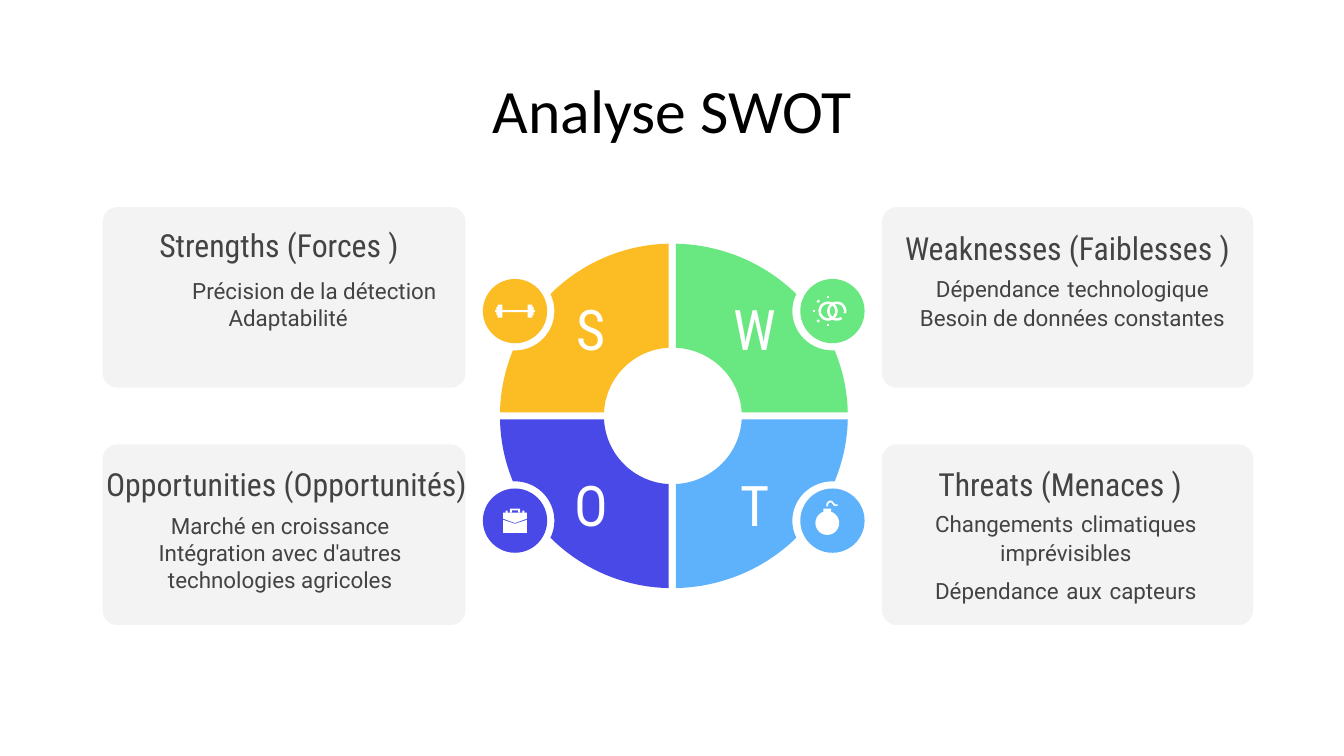
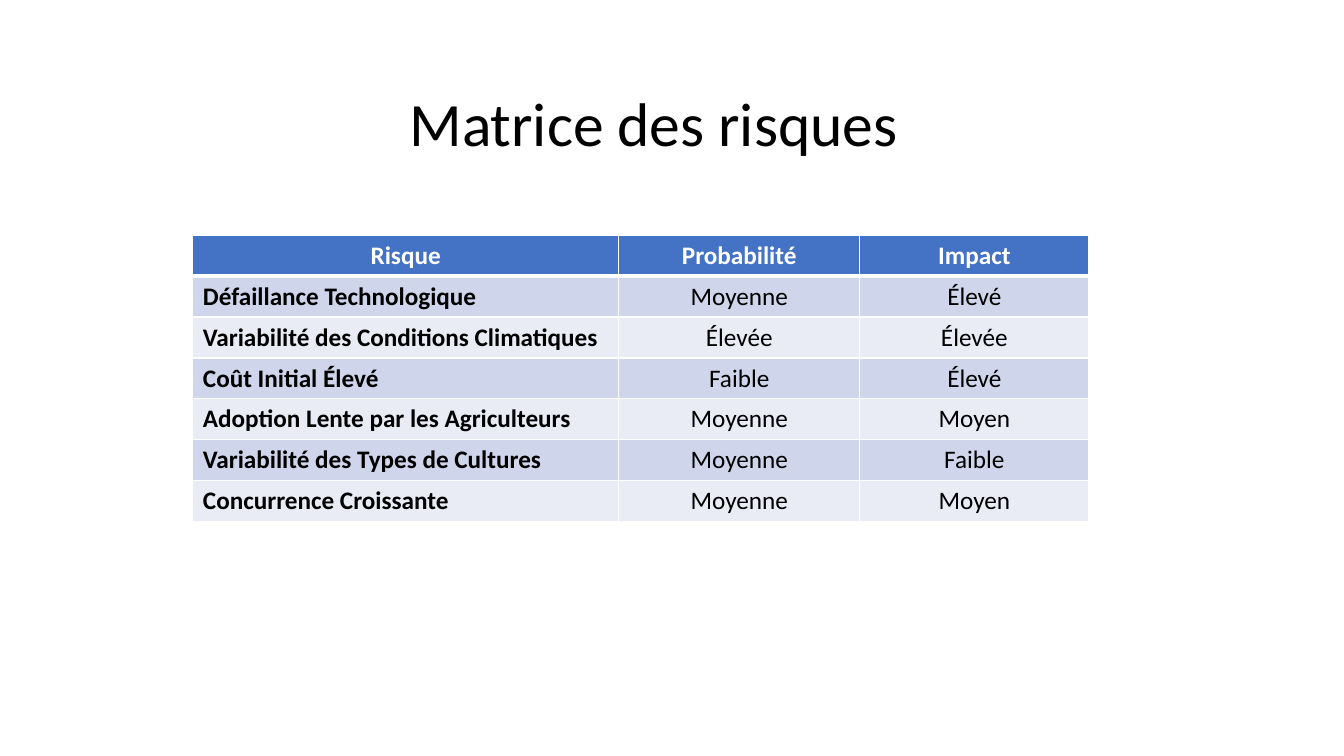
from math import acos, asin, atan2, cos, hypot, pi, radians, sin

from lxml import etree
from pptx import Presentation
from pptx import util as u
from pptx.dml.color import RGBColor
from pptx.enum import shapes, text
from pptx.oxml.ns import qn

WHITE, BLACK, GREY, CARD = "FFFFFF", "000000", "434343", "F3F3F3"
BLUE, BANDS = "4472C4", ("CFD5EA", "E9EBF5")
HEAD, BODY, BASE = "Roboto Condensed", "Roboto", "Calibri"
LEFT, MID, RIGHT = text.PP_ALIGN.LEFT, text.PP_ALIGN.CENTER, text.PP_ALIGN.RIGHT
KIND = shapes.MSO_SHAPE


def tint(code):
    return RGBColor.from_string(code)


def arc(x, y, rad, start, end, steps=40):
    """Points on a circle, angles in radians."""
    turns = [start + (end - start) * i / steps for i in range(steps + 1)]
    return [(x + rad * cos(t), y + rad * sin(t)) for t in turns]


class Deck:
    """House style and the slide being filled; lengths are in cm."""

    def __init__(self):
        self.prs = Presentation()
        self.prs.slide_width, self.prs.slide_height = u.Cm(33.87), u.Cm(19.05)
        self.page = None

    def open(self, name, left, top):
        self.page = self.prs.slides.add_slide(self.prs.slide_layouts[5])
        box = self.page.shapes.title
        box.left, box.top, box.width, box.height = map(u.Cm, (left, top, 28.6, 1.78))
        para = self.frame(box).paragraphs[0]
        para.alignment, para.line_spacing = MID, 0.9
        self.run(para, name, 44)

    def frame(self, box, left=0.33, right=0.33):
        frame = box.text_frame
        frame.word_wrap, frame.auto_size = True, text.MSO_AUTO_SIZE.NONE
        frame.vertical_anchor = text.MSO_ANCHOR.MIDDLE
        frame.margin_left, frame.margin_right = u.Cm(left), u.Cm(right)
        frame.margin_top = frame.margin_bottom = u.Cm(0.33)
        return frame

    def run(self, para, words, size, font=BASE, color=BLACK, bold=False):
        run = para.add_run()
        run.text = words
        run.font.size, run.font.name, run.font.bold = u.Pt(size), font, bold
        run.font.color.rgb = tint(color)

    def dress(self, item, fill):
        item.shadow.inherit = False
        item.fill.solid()
        item.fill.fore_color.rgb = tint(fill)
        item.line.fill.background()
        return item

    def shape(self, kind, left, top, wide, high, fill):
        item = self.page.shapes.add_shape(kind, *map(u.Cm, (left, top, wide, high)))
        return self.dress(item, fill)

    def disc(self, x, y, rad, fill):
        return self.shape(KIND.OVAL, x - rad, y - rad, 2 * rad, 2 * rad, fill)

    def bar(self, x, y, wide, high):
        """White block centred on a point."""
        self.shape(KIND.RECTANGLE, x - wide / 2, y - high / 2, wide, high, WHITE)

    def free(self, points, fill=WHITE, stroke=None):
        """Filled outline, or an open white curve if a stroke is given."""
        spots = [(u.Cm(x), u.Cm(y)) for x, y in points]
        pen = self.page.shapes.build_freeform(*spots[0])
        pen.add_line_segments(spots[1:], close=stroke is None)
        item = self.dress(pen.convert_to_shape(), fill)
        if stroke:
            item.fill.background()
            item.line.color.rgb, item.line.width = tint(fill), u.Pt(stroke)
        return item

    def line(self, start, end, width):
        item = self.page.shapes.add_connector(
            shapes.MSO_CONNECTOR.STRAIGHT, *map(u.Cm, (*start, *end)))
        item.line.color.rgb, item.line.width = tint(WHITE), u.Pt(width)
        etree.SubElement(item._element.spPr, qn("a:effectLst"))

    def text(self, box, paras, size, font):
        """Each paragraph is an alignment and its pieces, with wide gaps between."""
        frame = self.frame(self.page.shapes.add_textbox(*map(u.Cm, box)))
        for i, (side, *parts) in enumerate(paras):
            para = frame.add_paragraph() if i else frame.paragraphs[0]
            para.alignment = side
            for j, part in enumerate(parts):
                if j:
                    self.run(para, " ", 24)
                self.run(para, part, size, font, GREY)

    def border(self, cell, **widths):
        props = cell._tc.get_or_add_tcPr()
        for i, side in enumerate("LRTB"):
            line = etree.Element(qn("a:ln" + side), w=str(u.Pt(widths.get(side, 1))))
            fill = etree.SubElement(line, qn("a:solidFill"))
            etree.SubElement(fill, qn("a:srgbClr"), val=WHITE)
            props.insert(i, line)

    def table(self, left, top, cols, high, rows):
        grid = self.page.shapes.add_table(
            len(rows), len(cols), *map(u.Cm, (left, top, sum(cols), high * len(rows)))).table
        for col, wide in zip(grid.columns, cols):
            col.width = u.Cm(wide)
        for i, row in enumerate(rows):
            for j, words in enumerate(row):
                cell = grid.cell(i, j)
                cell.fill.solid()
                cell.fill.fore_color.rgb = tint(BANDS[(i - 1) % 2] if i else BLUE)
                para = cell.text_frame.paragraphs[0]
                para.alignment = LEFT if i and not j else MID
                self.run(para, words, 18, color=BLACK if i else WHITE, bold=not (i and j))
                self.border(cell, T=3 if i == 1 else 1, B=1 if i else 3)


# Ring measures
CX, CY, OUTER, INNER, GAP = 16.94, 10.48, 4.34, 1.72, 0.09
OFFX, OFFY, BADGE, NOTCH = 3.96, 2.64, 0.81, 0.99


def sector():
    """Lower right quarter of the ring, with a round notch, about the origin."""
    dist, turn = hypot(OFFX, OFFY), atan2(OFFY, OFFX)
    half = acos((OUTER**2 + dist**2 - NOTCH**2) / (2 * OUTER * dist))
    bite = acos((NOTCH**2 + dist**2 - OUTER**2) / (2 * NOTCH * dist))
    edge, core = asin(GAP / OUTER), asin(GAP / INNER)
    return (arc(0, 0, OUTER, edge, turn - half)
            + arc(OFFX, OFFY, NOTCH, turn + pi + bite, turn + pi - bite)
            + arc(0, 0, OUTER, turn + half, pi / 2 - edge)
            + arc(0, 0, INNER, pi / 2 - core, core))


# Badge icons, each centred on a point
def weight(deck, x, y):
    deck.bar(x, y, 1, 0.05)
    for side in (-1, 1):
        deck.bar(x + side * 0.38, y, 0.12, 0.33)
        deck.bar(x + side * 0.43, y, 0.08, 0.2)


def rings(deck, x, y):
    for shift, start, end in ((-0.11, 0, 360), (0.11, 55, 375)):
        deck.free(arc(x + shift, y, 0.21, radians(start), radians(end)), stroke=1.8)
    for turn in range(90, 271, 45):
        a, b = (arc(x - 0.11, y, rad, radians(turn), 0, 1)[0] for rad in (0.32, 0.38))
        deck.line(a, b, 1.8)


def case(deck, x, y):
    flap = [(-0.3, -0.2), (0.3, -0.2), (0.3, -0.05), (0, 0.06), (-0.3, -0.05)]
    base = [(-0.3, -0.02), (0, 0.08), (0.3, -0.02), (0.3, 0.31), (-0.3, 0.31)]
    grip = [(-0.13, -0.2), (-0.13, -0.3), (0.13, -0.3), (0.13, -0.2),
            (0.08, -0.2), (0.08, -0.26), (-0.08, -0.26), (-0.08, -0.2)]
    for part in (flap, base, grip):
        deck.free([(x + a, y + b) for a, b in part])
    for side in (-1, 1):
        deck.bar(x + side * 0.21, y - 0.22, 0.05, 0.06)


def bomb(deck, x, y):
    deck.disc(x - 0.13, y + 0.06, 0.3, WHITE)
    deck.bar(x - 0.13, y - 0.23, 0.2, 0.14)
    fuse = [(-0.13, -0.36), (-0.13, -0.43), (-0.08, -0.48), (-0.02, -0.48),
            (0.02, -0.43), (0.06, -0.39), (0.13, -0.39)]
    deck.free([(x + a, y + b) for a, b in fuse], stroke=1.2)


# Letter, colour, icon, sides, heading and its box, body and its box
PARTS = [
    ("S", "FCBD24", weight, -1, -1, (MID, "Strengths (Forces )"), (3.53, 5.36, 7, 1.6),
     [(RIGHT, "Précision de la détection"), (MID, "Adaptabilité")], (3.2, 6.25, 8.13, 2.84)),
    ("W", "69E781", rings, 1, -1, (MID, "Weaknesses (Faiblesses )"), (22.4, 5.44, 9, 1.6),
     [(MID, "Dépendance", "technologique"), (MID, "Besoin de données constantes")],
     (22.58, 5.74, 8.89, 3.5)),
    ("O", "4949E7", case, -1, 1, (MID, "Opportunities (Opportunités)"), (1.66, 11.38, 11.12, 1.6),
     [(MID, "Marché en croissance"),
      (MID, "Intégration avec d'autres technologies agricoles")], (3.56, 12.5, 7, 2.84)),
    ("T", "5EB2FC", bomb, 1, 1, (LEFT, "Threats (Menaces )"), (23.32, 11.4, 7.16, 1.6),
     [(MID, "Changements", "climatiques", "imprévisibles"),
      (MID, "Dépendance", "aux", "capteurs")], (22.76, 12.3, 8.2, 3.25)),
]

RISKS = [
    ("Risque", "Probabilité", "Impact"),
    ("Défaillance Technologique", "Moyenne", "Élevé"),
    ("Variabilité des Conditions Climatiques", "Élevée", "Élevée"),
    ("Coût Initial Élevé", "Faible", "Élevé"),
    ("Adoption Lente par les Agriculteurs", "Moyenne", "Moyen"),
    ("Variabilité des Types de Cultures", "Moyenne", "Faible"),
    ("Concurrence Croissante", "Moyenne", "Moyen"),
]


def swot(deck):
    deck.open("Analyse SWOT", 2.64, 1.98)
    for mark, color, icon, dx, dy, head, spot, body, box in PARTS:
        # Ring quarter and letter; the right half is slightly wider
        wide = 1.02 if dx > 0 else -1
        part = deck.free([(CX + wide * x, CY + dy * y) for x, y in sector()], color)
        pads = (0.33, 0.69) if dx > 0 else (0.69, 0.33)
        para = deck.frame(part, *pads).paragraphs[0]
        para.alignment = MID
        deck.run(para, mark, 40, HEAD, WHITE)
        # Badge
        x, y = CX + wide * OFFX, CY + dy * OFFY
        deck.disc(x, y, BADGE, color)
        icon(deck, x, y)
        # Card
        left, span = (22.23, 9.35) if dx > 0 else (2.59, 9.14)
        card = deck.shape(KIND.ROUNDED_RECTANGLE, left, 8.22 + dy * 2.99, span, 4.55, CARD)
        card.top = u.Cm(CY + dy * 2.99 - 2.27)
        card.adjustments[0] = 0.08
        deck.text(spot, [head], 22.7, HEAD)
        deck.text(box, body, 16, BODY)


def risks(deck):
    deck.open("Matrice des risques", 2.18, 2.31)
    deck.table(4.86, 5.93, (10.73, 6.08, 5.77), 1.03, RISKS)


def main():
    deck = Deck()
    swot(deck)
    risks(deck)
    deck.prs.save("out.pptx")


if __name__ == "__main__":
    main()
